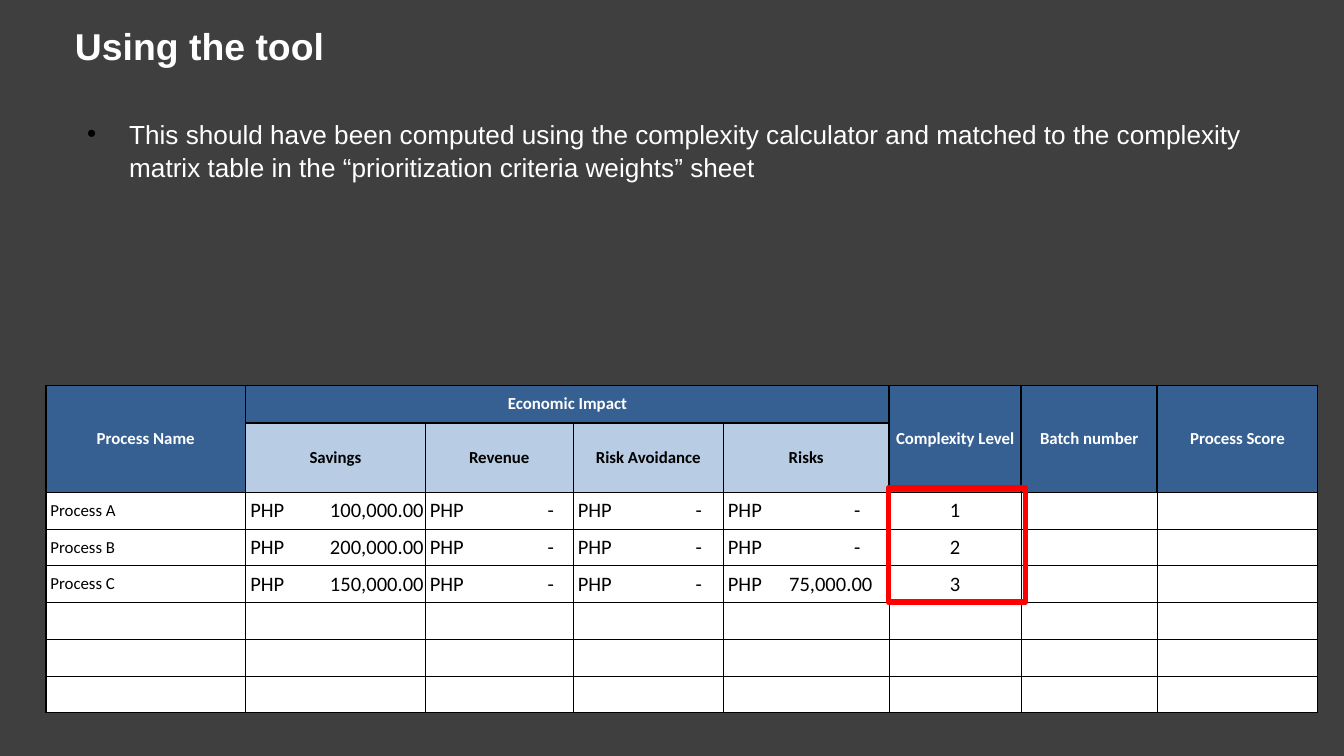
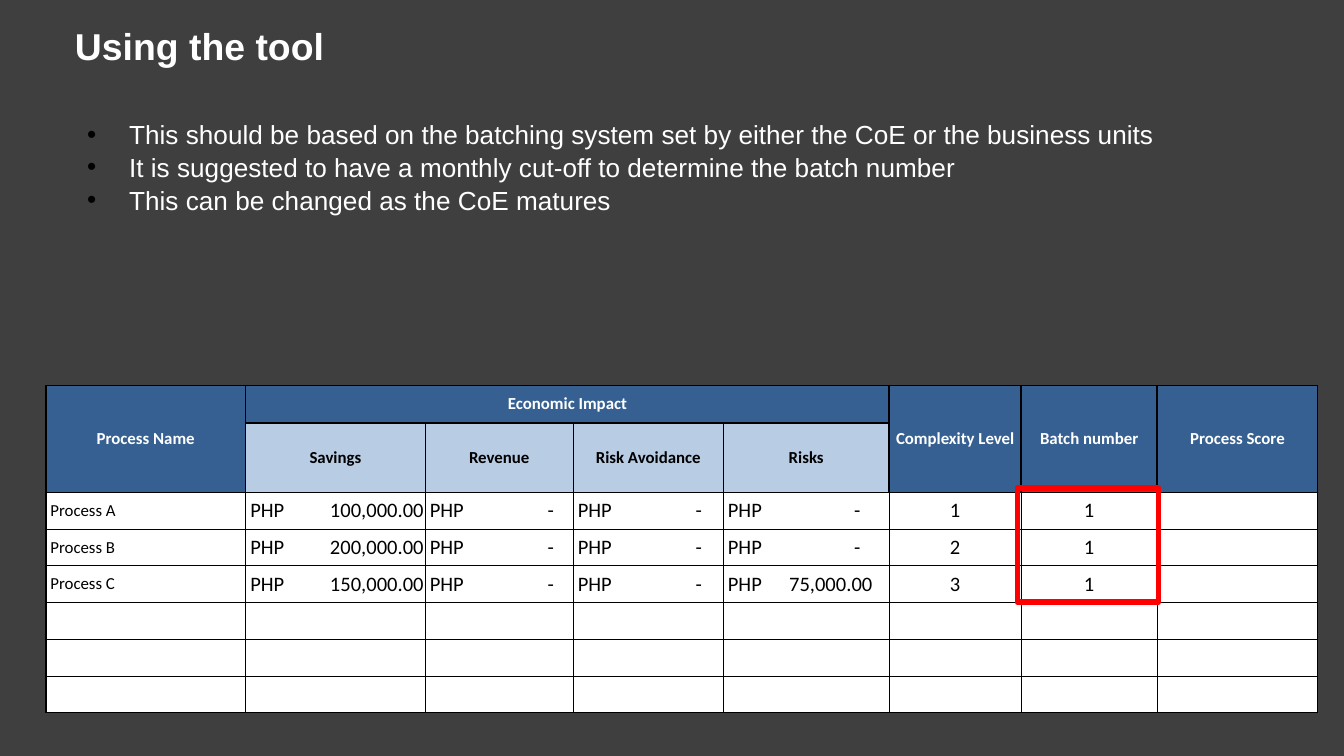
from dataclasses import dataclass
from lxml.etree import SubElement
from pptx import Presentation
from pptx.dml.color import RGBColor
from pptx.enum.shapes import MSO_SHAPE
from pptx.enum.text import MSO_ANCHOR, PP_ALIGN
from pptx.oxml.ns import qn
from pptx.util import Pt


@dataclass(frozen=True)
class Theme:
    back: str = "3F3F3F"
    white: str = "FFFFFF"
    black: str = "000000"
    head: str = "366092"
    sub: str = "B8CCE4"
    mark: str = "FF0000"
    sans: str = "Arial"
    grid: str = "Calibri"
    title: int = 20
    body: int = 14
    value: int = 11
    label: int = 9


COLS = (107.1, 96.2, 79.3, 80.4, 88.9, 70.7, 72.9, 86)
ROWS = (20.1, 37.2) + (19.7,) * 6
HEADS = ("Process Name", "Economic Impact", None, None, None,
         "Complexity Level", "Batch number", "Process Score")
SUBS = (None, "Savings", "Revenue", "Risk Avoidance", "Risks", None, None, None)
COSTS = (
    ("Process A", "100,000.00", "-", "-", "-", "1"),
    ("Process B", "200,000.00", "-", "-", "-", "2"),
    ("Process C", "150,000.00", "-", "-", "75,000.00", "3"),
)
STOPS = {1: 93, 2: 66.5, 3: 66.5, 4: 71}
WIDE_STOP = 77.5
PAGES = (
    (("This should have been computed using the complexity calculator and matched "
      "to the complexity matrix table in the “prioritization criteria weights” sheet",),
     "", (476, 73.4), 41),
    (("This should be based on the batching system set by either the CoE or the business units",
      "It is suggested to have a monthly cut-off to determine the batch number",
      "This can be changed as the CoE matures"),
     "1", (545, 75.6), 58.3),
)


def put(item, **values):
    for name, value in values.items():
        setattr(item, name, value)


class Deck:
    """Builds slides in one style."""

    def __init__(self, theme):
        self.theme = theme
        self.show = Presentation()
        put(self.show, slide_width=Pt(720), slide_height=Pt(405))

    def page(self):
        self.slide = self.show.slides.add_slide(self.show.slide_layouts[6])
        self.paint(self.slide.background.fill, self.theme.back)

    def paint(self, fill, color):
        fill.solid()
        fill.fore_color.rgb = RGBColor.from_string(color)

    def label(self, para, text, font, size, color, bold=False):
        run = para.add_run()
        run.text = text
        put(run.font, name=font, size=Pt(size), bold=bold)
        run.font.color.rgb = RGBColor.from_string(color)

    def box(self, *place):
        frame = self.slide.shapes.add_textbox(*map(Pt, place)).text_frame
        frame.word_wrap = True
        return frame

    def title(self, text):
        look = self.theme
        frame = self.box(24.5, 3.6, 671, 41.8)
        put(frame, margin_top=Pt(7.2), margin_bottom=Pt(7.2),
            vertical_anchor=MSO_ANCHOR.MIDDLE)
        para = frame.paragraphs[0]
        para._p.get_or_add_pPr().set("marL", str(Pt(8.6)))
        self.label(para, text, look.sans, look.title, look.white, True)

    def points(self, lines, height):
        look = self.theme
        frame = self.box(39.6, 59, 633, height)
        for i, line in enumerate(lines):
            para = frame.add_paragraph() if i else frame.paragraphs[0]
            para.line_spacing = 1.05
            props = para._p.get_or_add_pPr()
            props.set("marL", str(Pt(22.5)))
            props.set("indent", str(Pt(-22.5)))
            tint = SubElement(props, qn("a:buClr"))
            SubElement(tint, qn("a:srgbClr"), val=look.black)
            SubElement(props, qn("a:buFont"), typeface=look.sans)
            SubElement(props, qn("a:buChar"), char="•")
            self.label(para, line, look.sans, look.body, look.white)

    def frame(self, left, width):
        shape = self.slide.shapes.add_shape(
            MSO_SHAPE.RECTANGLE, Pt(left), Pt(261.4), Pt(width), Pt(61.2))
        shape.shadow.inherit = False
        shape.fill.background()
        shape.line.color.rgb = RGBColor.from_string(self.theme.mark)
        shape.line.width = Pt(3)

    def edges(self, cell, row, col):
        thick = {
            "L": col == 0 or row == 0 or (row, col) == (1, 1),
            "R": col == 7 or row == 0 or (row == 1 and col in (0, 4)),
            "T": row < 2 or (row == 2 and col > 0),
            "B": row < 2 and col > 0,
        }
        props = cell._tc.get_or_add_tcPr()
        for side, heavy in thick.items():
            line = SubElement(props, qn(f"a:ln{side}"), w=str(Pt(1 if heavy else 0.5)))
            fill = SubElement(line, qn("a:solidFill"))
            SubElement(fill, qn("a:srgbClr"), val=self.theme.black)

    def cell(self, cell, row, col, text):
        look = self.theme
        under = row == 1 and col in STOPS
        self.edges(cell, row, col)
        self.paint(cell.fill, look.white if row > 1 else look.sub if under else look.head)
        inset = Pt(2.5 if row > 1 and col < 5 else 0.7)
        put(cell, margin_left=inset, margin_right=0, margin_top=0, margin_bottom=0,
            vertical_anchor=MSO_ANCHOR.MIDDLE)
        para = cell.text_frame.paragraphs[0]
        if not text:
            para._p.get_or_add_endParaRPr().set("sz", str(look.label * 100))
            return
        if row < 2 or col > 4:
            cell.margin_right = inset
            para.alignment = PP_ALIGN.CENTER
        elif col in STOPS:
            stop = WIDE_STOP if col == 4 and text != "-" else STOPS[col]
            tabs = SubElement(para._p.get_or_add_pPr(), qn("a:tabLst"))
            SubElement(tabs, qn("a:tab"), pos=str(Pt(stop)), algn="r")
            text = f"PHP\t{text}"
        size = look.value if row > 1 and col else look.label
        color = look.black if row > 1 or under else look.white
        self.label(para, text, look.grid, size, color, row < 2)

    def table(self, rows):
        place = map(Pt, (24.5, 206.5, sum(COLS), sum(ROWS)))
        table = self.slide.shapes.add_table(len(ROWS), len(COLS), *place).table
        put(table, first_row=False, horz_banding=False)
        for col, width in zip(table.columns, COLS):
            col.width = Pt(width)
        for row, height in zip(table.rows, ROWS):
            row.height = Pt(height)
        for r, row in enumerate(rows):
            for c, text in enumerate(row):
                self.cell(table.cell(r, c), r, c, text)
        table.cell(0, 1).merge(table.cell(0, 4))
        for c in (0, 5, 6, 7):
            table.cell(0, c).merge(table.cell(1, c))


def main():
    deck = Deck(Theme())
    for lines, batch, mark, height in PAGES:
        deck.page()
        filled = [row + (batch, "") for row in COSTS]
        deck.table([HEADS, SUBS, *filled, *[("",) * len(COLS)] * 3])
        deck.title("Using the tool")
        deck.frame(*mark)
        deck.points(lines, height)
    deck.show.save("out.pptx")


if __name__ == "__main__":
    main()
